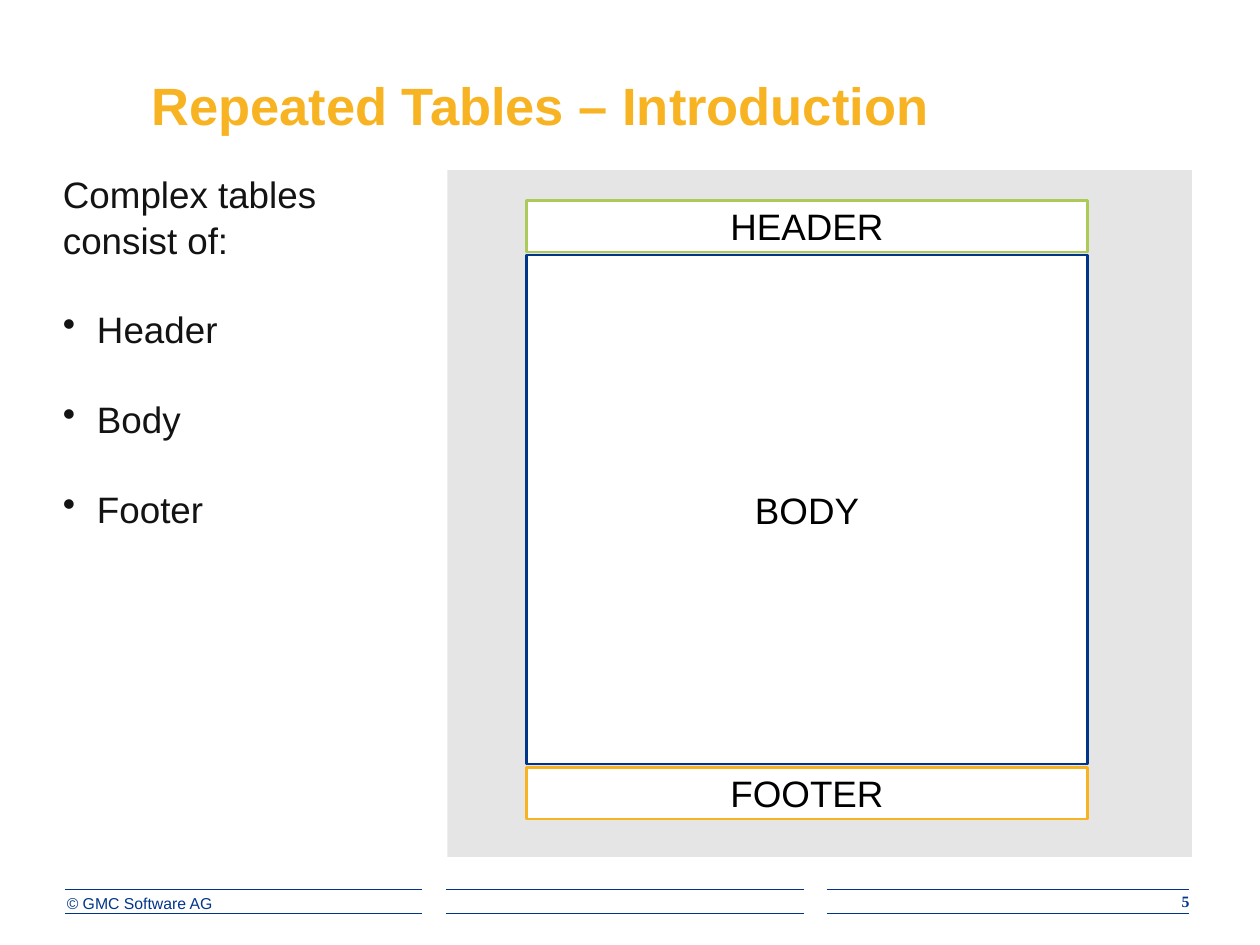
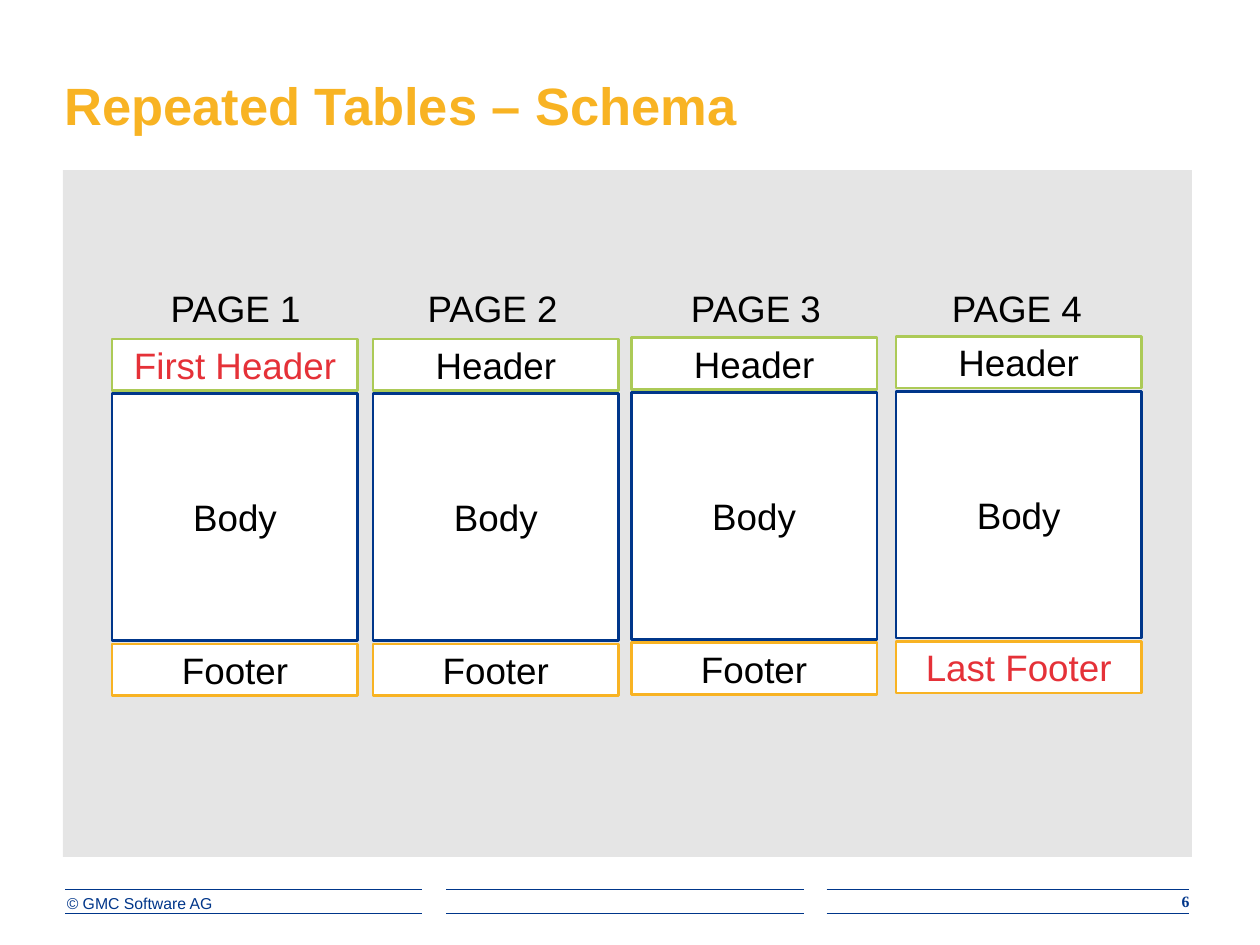
"""Build two slides about repeated tables: their parts and their page schema."""
from dataclasses import dataclass, field

from lxml import etree
from pptx import Presentation
from pptx import util as u
from pptx.dml.color import RGBColor
from pptx.enum import shapes, text
from pptx.oxml import ns


def color(value):
    return RGBColor.from_string(value)


def format_object(target, values):
    for name, value in values.items():
        setattr(target, name, value)


def type_style(size, name="Arial", bold=False):
    return {"size": u.Pt(size), "name": name, "bold": bold}


@dataclass
class Theme:
    navy: str = "00368A"
    amber: str = "F8B323"
    green: str = "ACCA57"
    red: str = "E53138"
    white: str = "FFFFFF"
    black: str = "000000"
    ink: str = "131313"
    panel_opacity: int = 10
    rule_width: float = 0.5
    border_width: float = 1.5
    line_spacing: float = 1.04
    title: dict = field(default_factory=lambda: type_style(30, bold=True))
    body: dict = field(default_factory=lambda: type_style(21))
    footer: dict = field(default_factory=lambda: type_style(9))
    number: dict = field(default_factory=lambda: type_style(9, "Times New Roman", True))


class Deck:
    COLUMNS, ROWS = 100, 75

    def __init__(self, theme):
        self.theme = theme
        self.presentation = Presentation()
        format_object(self.presentation, {"slide_width": u.Inches(10), "slide_height": u.Inches(7.5)})
        self.slide = None

    def across(self, columns):
        return u.Emu(round(self.presentation.slide_width * columns / self.COLUMNS))

    def down(self, rows):
        return u.Emu(round(self.presentation.slide_height * rows / self.ROWS))

    def area(self, left, top, width, height):
        return self.across(left), self.down(top), self.across(width), self.down(height)

    def set_text(self, frame, content, style, ink, align=text.PP_ALIGN.LEFT,
                 anchor=text.MSO_ANCHOR.TOP, wrap=True, margins=(0, 0)):
        side, edge = self.across(margins[0]), self.down(margins[1])
        format_object(frame, {
            "word_wrap": wrap, "auto_size": text.MSO_AUTO_SIZE.NONE, "vertical_anchor": anchor,
            "margin_left": side, "margin_right": side, "margin_top": edge, "margin_bottom": edge})
        frame.text = content
        for paragraph in frame.paragraphs:
            paragraph.alignment = align
            for run in paragraph.runs:
                format_object(run.font, style)
                run.font.color.rgb = color(ink)

    def add_slide(self, title, number, title_indent=0):
        self.slide = self.presentation.slides.add_slide(self.presentation.slide_layouts[5])
        placeholder = self.slide.shapes.title
        format_object(placeholder, dict(zip(("left", "top", "width", "height"), self.area(5.1, 4, 69.5, 6.8))))
        self.set_text(placeholder.text_frame, title, self.theme.title, self.theme.amber,
                      anchor=text.MSO_ANCHOR.BOTTOM)
        placeholder.text_frame.margin_left = self.across(title_indent)
        self.add_footer(number)

    def add_footer(self, number):
        for row in (70.6, 72.5):
            for start, end in ((5.2, 33.5), (35.4, 63.8), (65.6, 94.4)):
                self.add_rule(start, end, row)
        self.add_text("© GMC Software AG", (5.3, 70.9, 28.1, 2), self.theme.footer, self.theme.navy, wrap=False)
        self.add_text(str(number), (86.6, 70.8, 7.8, 1.9), self.theme.number, self.theme.navy,
                      align=text.PP_ALIGN.RIGHT)

    def add_rule(self, start, end, row):
        line = self.slide.shapes.add_connector(
            shapes.MSO_CONNECTOR.STRAIGHT, self.across(start), self.down(row), self.across(end), self.down(row))
        line.line.color.rgb = color(self.theme.navy)
        line.line.width = u.Pt(self.theme.rule_width)
        etree.SubElement(line.element.spPr, ns.qn("a:effectLst"))

    def add_text(self, content, place, style, ink, **layout):
        box = self.slide.shapes.add_textbox(*self.area(*place))
        self.set_text(box.text_frame, content, style, ink, **layout)
        return box.text_frame

    def add_rectangle(self, place, fill):
        shape = self.slide.shapes.add_shape(shapes.MSO_SHAPE.RECTANGLE, *self.area(*place))
        shape.shadow.inherit = False
        shape.fill.solid()
        shape.fill.fore_color.rgb = color(fill)
        return shape

    def add_panel(self, left, width):
        panel = self.add_rectangle((left, 13.5, width, 54.5), self.theme.black)
        panel.line.fill.background()
        tint = panel.element.spPr.find(ns.qn("a:solidFill"))[0]
        etree.SubElement(tint, ns.qn("a:alpha"), val=str(self.theme.panel_opacity * 1000))

    def add_part(self, label, place, border, ink):
        part = self.add_rectangle(place, self.theme.white)
        part.line.color.rgb = color(border)
        part.line.width = u.Pt(self.theme.border_width)
        self.set_text(part.text_frame, label, self.theme.body, ink, align=text.PP_ALIGN.CENTER,
                      anchor=text.MSO_ANCHOR.MIDDLE, wrap=False, margins=(1, 0.5))

    def add_table_scheme(self, labels, left, top, width, body_height, highlighted=()):
        band_height, gap = 4.1, 0.25
        heights = (band_height, body_height, band_height)
        borders = (self.theme.green, self.theme.navy, self.theme.amber)
        for label, height, border in zip(labels, heights, borders):
            ink = self.theme.red if label in highlighted else self.theme.black
            self.add_part(label, (left, top, width, height), border, ink)
            top += height + gap

    def add_bullet_list(self, lead, items, place):
        frame = self.add_text("\n".join([lead, *items]), place, self.theme.body, self.theme.ink)
        indent = self.across(2.7)
        for paragraph in frame.paragraphs:
            paragraph.line_spacing = self.theme.line_spacing
        for paragraph in frame.paragraphs[1:]:
            paragraph.space_before = u.Pt(25)
            properties = paragraph._p.get_or_add_pPr()
            properties.set("marL", str(indent))
            properties.set("indent", str(-indent))
            etree.SubElement(properties, ns.qn("a:buChar"), char="•")


def main():
    deck = Deck(Theme())

    deck.add_slide("Repeated Tables – Introduction", 5, title_indent=6.9)
    deck.add_panel(35.5, 59.1)
    deck.add_bullet_list("Complex tables consist of:", ("Header", "Body", "Footer"), (5, 13.5, 28.3, 54.3))
    deck.add_table_scheme(("HEADER", "BODY", "FOOTER"), 41.8, 15.9, 44.5, 40.4)

    deck.add_slide("Repeated Tables – Schema", 6)
    deck.add_panel(5, 89.6)
    pages = (
        (8.9, 26.9, 10, "First Header", "Footer"),
        (29.6, 26.9, 30.4, "Header", "Footer"),
        (50.1, 26.8, 51.3, "Header", "Footer"),
        (71.1, 26.7, 72, "Header", "Last Footer"),
    )
    for page, (left, top, caption_left, header, footer) in enumerate(pages, 1):
        deck.add_table_scheme((header, "Body", footer), left, top, 19.5, 19.6, ("First Header", "Last Footer"))
        deck.add_text(f"PAGE {page}", (caption_left, 22.2, 17.4, 4.5), deck.theme.body, deck.theme.black,
                      align=text.PP_ALIGN.CENTER, margins=(1, 0.5))

    deck.presentation.save("out.pptx")


if __name__ == "__main__":
    main()
